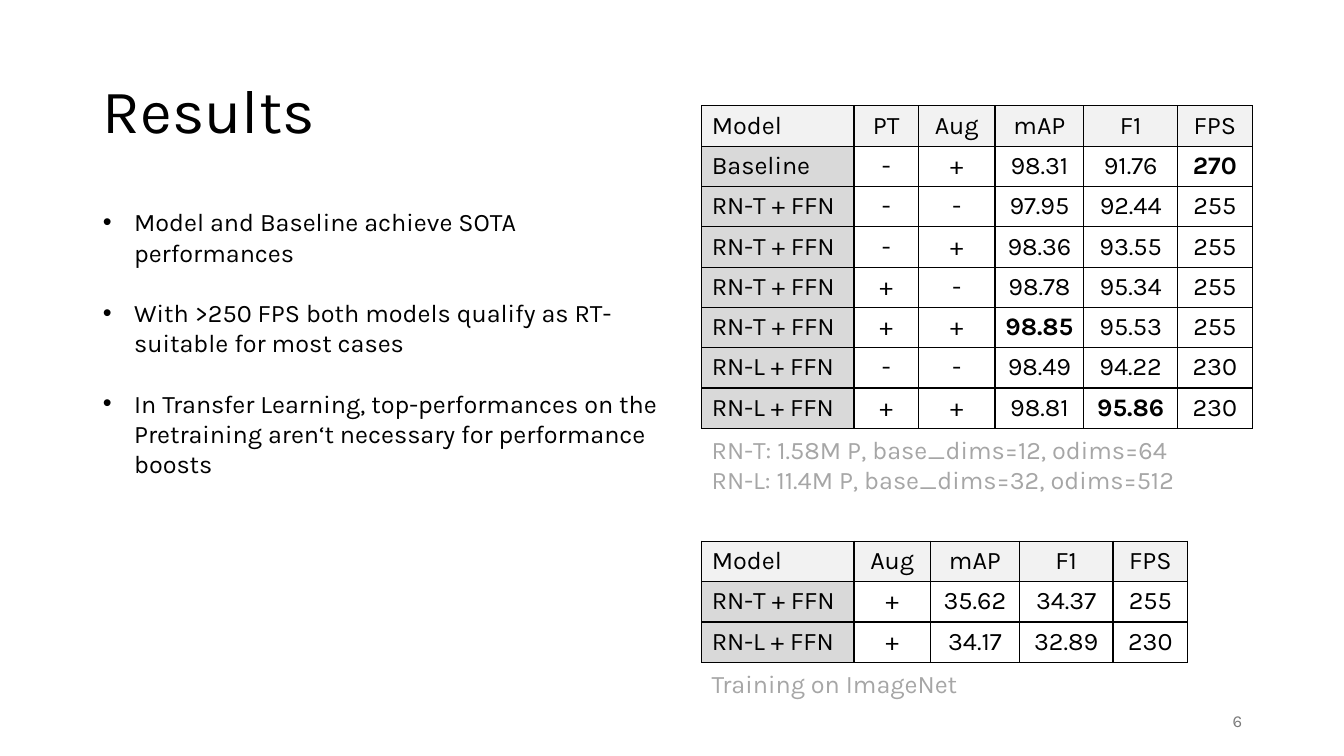
import lxml.etree
import pptx
import pptx.dml.color
import pptx.enum.text
import pptx.oxml.ns
import pptx.util

Inches = pptx.util.Inches
Pt = pptx.util.Pt
Align = pptx.enum.text.PP_ALIGN
Anchor = pptx.enum.text.MSO_ANCHOR
RGBColor = pptx.dml.color.RGBColor

BLACK = RGBColor(0x00, 0x00, 0x00)
CAPTION_GREY = RGBColor(0xA6, 0xA6, 0xA6)
NUMBER_GREY = RGBColor(0x79, 0x79, 0x79)
HEADER_FILL = RGBColor(0xF2, 0xF2, 0xF2)
MODEL_FILL = RGBColor(0xD9, 0xD9, 0xD9)

FONT = "Karla"
BODY_SIZE = 18
ROW_HEIGHT = 0.4
BULLET_INDENT = Inches(0.31)
COLUMN_WIDTHS = {"Model": 1.51, "PT": 0.64, "Aug": 0.76, "mAP": 0.88, "F1": 0.93, "FPS": 0.74}
BEST_VALUES = {"270", "98.85", "95.86"}

BULLETS = [
    "Model and Baseline achieve SOTA performances",
    "With >250 FPS both models qualify as RT-suitable for most cases",
    "In Transfer Learning, top-performances on the Pretraining aren‘t necessary for performance boosts",
]
MAIN_RESULTS = [
    ["Model", "PT", "Aug", "mAP", "F1", "FPS"],
    ["Baseline", "-", "+", "98.31", "91.76", "270"],
    ["RN-T + FFN", "-", "-", "97.95", "92.44", "255"],
    ["RN-T + FFN", "-", "+", "98.36", "93.55", "255"],
    ["RN-T + FFN", "+", "-", "98.78", "95.34", "255"],
    ["RN-T + FFN", "+", "+", "98.85", "95.53", "255"],
    ["RN-L + FFN", "-", "-", "98.49", "94.22", "230"],
    ["RN-L + FFN", "+", "+", "98.81", "95.86", "230"],
]
PRETRAINING_RESULTS = [
    ["Model", "Aug", "mAP", "F1", "FPS"],
    ["RN-T + FFN", "+", "35.62", "34.37", "255"],
    ["RN-L + FFN", "+", "34.17", "32.89", "230"],
]


def format_paragraph(paragraph, size, color, alignment=Align.LEFT, bold=False):
    paragraph.alignment = alignment
    for run in paragraph.runs:
        run.font.name = FONT
        run.font.size = Pt(size)
        run.font.color.rgb = color
        run.font.bold = bold


def place(shape, left, top, width, height):
    shape.left, shape.top = Inches(left), Inches(top)
    shape.width, shape.height = Inches(width), Inches(height)


def fill_title(title, box):
    place(title, *box)
    title.text_frame.text = "Results"
    title.text_frame.auto_size = pptx.enum.text.MSO_AUTO_SIZE.NONE
    title.text_frame.vertical_anchor = Anchor.MIDDLE
    paragraph = title.text_frame.paragraphs[0]
    paragraph.line_spacing = 0.9
    format_paragraph(paragraph, 44, BLACK)


def fill_bullets(body, box):
    place(body, *box)
    text_frame = body.text_frame
    text_frame.text = "\n".join(BULLETS)
    text_frame.auto_size = pptx.enum.text.MSO_AUTO_SIZE.NONE
    for index, paragraph in enumerate(text_frame.paragraphs):
        format_paragraph(paragraph, BODY_SIZE, BLACK)
        paragraph.space_before = Pt(21.6 if index else 0)
        properties = paragraph._p.get_or_add_pPr()
        properties.set("marL", str(BULLET_INDENT))
        properties.set("indent", str(-BULLET_INDENT))


def add_text(slide, box, lines, size, color, alignment=Align.LEFT, anchor=Anchor.TOP):
    text_frame = slide.shapes.add_textbox(*map(Inches, box)).text_frame
    text_frame.word_wrap = True
    text_frame.vertical_anchor = anchor
    text_frame.text = "\n".join(lines)
    for paragraph in text_frame.paragraphs:
        format_paragraph(paragraph, size, color, alignment)


def add_cell_borders(cell):
    qualified = pptx.oxml.ns.qn
    properties = cell._tc.get_or_add_tcPr()
    for side in ("a:lnL", "a:lnR", "a:lnT", "a:lnB"):
        line = lxml.etree.SubElement(properties, qualified(side), w=str(Pt(1)))
        fill = lxml.etree.SubElement(line, qualified("a:solidFill"))
        lxml.etree.SubElement(fill, qualified("a:srgbClr"), val=str(BLACK))


def add_results(slide, left, top, rows, caption):
    """Add a results table with its grey caption directly below it."""
    widths = [COLUMN_WIDTHS[name] for name in rows[0]]
    height = ROW_HEIGHT * len(rows)
    table = slide.shapes.add_table(
        len(rows), len(widths), Inches(left), Inches(top), Inches(sum(widths)), Inches(height)
    ).table
    for column, width in zip(table.columns, widths):
        column.width = Inches(width)
    for row_index, values in enumerate(rows):
        for column_index, value in enumerate(values):
            cell = table.cell(row_index, column_index)
            cell.text_frame.text = value
            alignment = Align.CENTER if column_index else Align.LEFT
            format_paragraph(
                cell.text_frame.paragraphs[0], BODY_SIZE, BLACK, alignment, value in BEST_VALUES
            )
            add_cell_borders(cell)
            if row_index and column_index:
                cell.fill.background()
            else:
                cell.fill.solid()
                cell.fill.fore_color.rgb = MODEL_FILL if row_index else HEADER_FILL
    caption_box = (left, top + height + 0.01, 4.97, 0.1 + 0.3 * len(caption))
    add_text(slide, caption_box, caption, BODY_SIZE, CAPTION_GREY)


def build_results_slide(presentation):
    slide = presentation.slides.add_slide(presentation.slide_layouts[1])
    fill_title(slide.shapes.title, (0.92, 0.4, 11.5, 1.45))
    fill_bullets(slide.placeholders[1], (0.92, 2, 5.75, 3.43))
    add_results(
        slide, 6.96, 1.05, MAIN_RESULTS,
        ["RN-T: 1.58M P, base_dims=12, odims=64", "RN-L: 11.4M P, base_dims=32, odims=512"],
    )
    add_results(slide, 6.96, 5.37, PRETRAINING_RESULTS, ["Training on ImageNet"])
    add_text(slide, (9.42, 6.95, 3, 0.4), ["6"], 12, NUMBER_GREY, Align.RIGHT, Anchor.MIDDLE)


def main():
    presentation = pptx.Presentation()
    presentation.slide_width = Inches(13.33)
    presentation.slide_height = Inches(7.5)
    build_results_slide(presentation)
    presentation.save("out.pptx")


if __name__ == "__main__":
    main()
